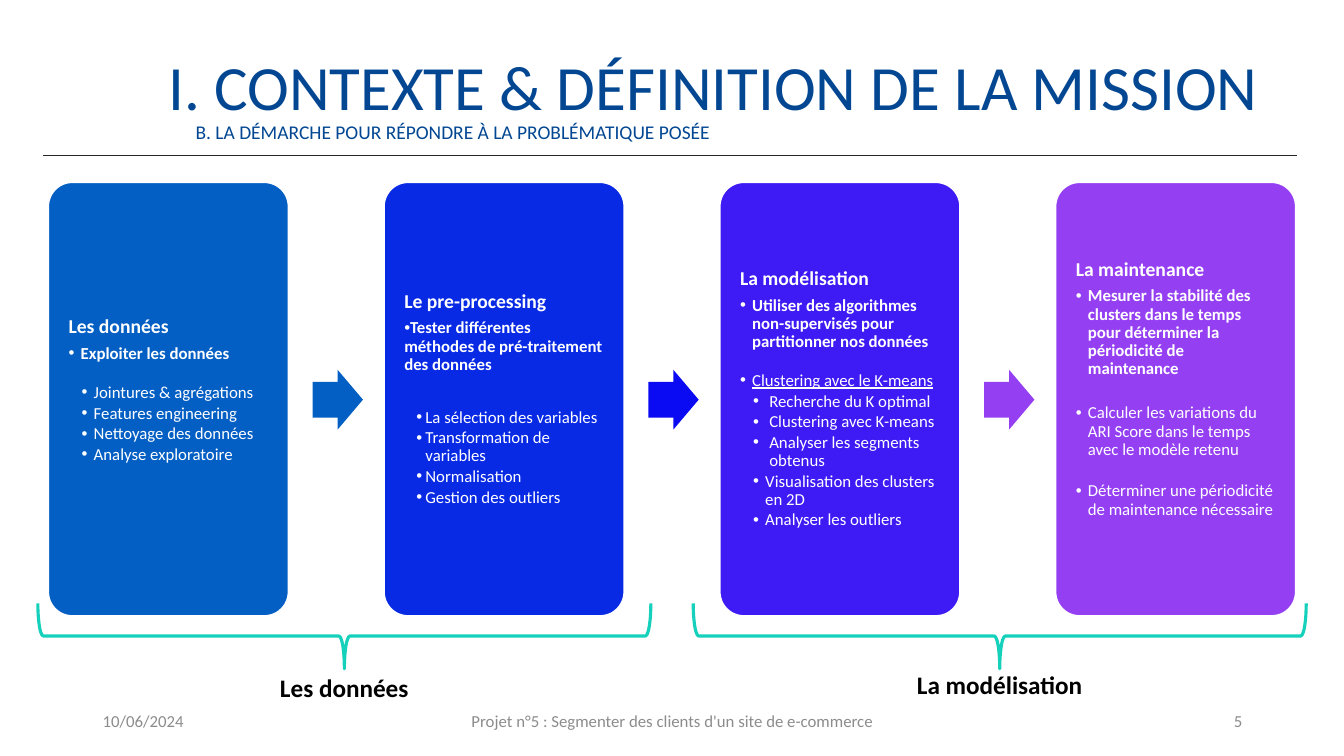
from lxml.etree import SubElement
from pptx import Presentation
from pptx.dml.color import RGBColor
from pptx.enum.shapes import MSO_CONNECTOR as Connector, MSO_SHAPE as Shape
from pptx.enum.text import MSO_ANCHOR as Anchor, PP_ALIGN as Align
from pptx.oxml.ns import qn
from pptx.util import Inches, Pt

NAVY, GREY, TEAL, WHITE = "034793", "8C8C8C", "15D1BB", "FFFFFF"
STEP_PITCH = 3.33


def heading(text):
    return dict(text=text, size=14, bold=True, after=4.9)


def bullet(text, margin=0.12, hang=0.12, **style):
    return dict(text=text, margin=margin, hang=hang, after=1.8, **style)


def detail(text, margin=0.25, hang=0.12, **style):
    return bullet(text, margin, hang, **style)


STEPS = [
    ("045FC4", "045FC4", 0.3, [
        heading("Les données"),
        bullet("Exploiter les données", bold=True),
        detail("Jointures & agrégations", before=13),
        detail("Features engineering"),
        detail("Nettoyage des données"),
        detail("Analyse exploratoire"),
    ]),
    ("082AE4", "0A0AF3", 0.13, [
        heading("Le pre-processing"),
        bullet("Tester différentes méthodes de pré-traitement des données", 0, 0, bold=True),
        detail("La sélection des variables", 0.21, 0.09, before=23),
        detail("Transformation de variables", 0.21, 0.09),
        detail("Normalisation", 0.21, 0.09),
        detail("Gestion des outliers", 0.21, 0.09),
    ]),
    ("3E1BF4", "953FF3", 0.13, [
        heading("La modélisation"),
        bullet("Utiliser des algorithmes non-supervisés pour partitionner nos données", bold=True),
        bullet("Clustering avec le K-means", underline=True, before=13),
        detail("Recherche du K optimal", 0.29, 0.16),
        detail("Clustering avec K-means", 0.29, 0.16),
        detail("Analyser les segments obtenus", 0.29, 0.16),
        detail("Visualisation des clusters en 2D"),
        detail("Analyser les outliers"),
    ]),
    ("953FF3", None, 0.33, [
        heading("La maintenance"),
        bullet("Mesurer la stabilité des clusters dans le temps pour déterminer "
               "la périodicité de maintenance", bold=True),
        bullet("Calculer les variations du ARI Score dans le temps avec le modèle retenu",
               before=17),
        bullet("Déterminer une périodicité de maintenance nécessaire", before=15),
    ]),
]


def color(hex_value):
    return RGBColor.from_string(hex_value)


def write(paragraph, text, size=12, ink=WHITE, bold=False, underline=False, align=Align.LEFT,
          spacing=None, before=0, after=0, margin=None, hang=0):
    paragraph.alignment = align
    paragraph.space_before, paragraph.space_after = Pt(before), Pt(after)
    if spacing:
        paragraph.line_spacing = spacing
    if margin is not None:
        properties = paragraph._p.get_or_add_pPr()
        properties.set("marL", str(Inches(margin)))
        properties.set("indent", str(-Inches(hang)))
        SubElement(properties, qn("a:buFont")).set("typeface", "Arial")
        SubElement(properties, qn("a:buChar")).set("char", "•")
    run = paragraph.add_run()
    run.text = text
    font = run.font
    font.name, font.size, font.bold, font.underline = "Calibri", Pt(size), bold, underline
    font.color.rgb = color(ink)


def add_label(slide, text, left, top, width, height, anchor=Anchor.MIDDLE, inset=0.1, **style):
    label = slide.shapes.add_textbox(Inches(left), Inches(top), Inches(width), Inches(height))
    frame = label.text_frame
    frame.word_wrap = True
    frame.vertical_anchor = anchor
    frame.margin_left = frame.margin_right = Inches(inset)
    write(frame.paragraphs[0], text, **style)


def add_block(slide, kind, left, top, width, height, fill=None, line=None, weight=1):
    block = slide.shapes.add_shape(kind, Inches(left), Inches(top), Inches(width), Inches(height))
    block.shadow.inherit = False
    if fill:
        block.fill.solid()
        block.fill.fore_color.rgb = color(fill)
    else:
        block.fill.background()
    if line:
        block.line.color.rgb = color(line)
        block.line.width = Pt(weight)
    else:
        block.line.fill.background()
    return block


def add_step(slide, left, fill, bottom_inset, lines):
    card = add_block(slide, Shape.ROUNDED_RECTANGLE, left, 1.81, 2.38, 4.3, fill, WHITE)
    card.adjustments[0] = 0.1
    frame = card.text_frame
    frame.word_wrap = True
    frame.vertical_anchor = Anchor.MIDDLE
    frame.margin_left = frame.margin_right = frame.margin_top = Inches(0.13)
    frame.margin_bottom = Inches(bottom_inset)
    for index, line in enumerate(lines):
        paragraph = frame.add_paragraph() if index else frame.paragraphs[0]
        write(paragraph, spacing=0.9, **line)


def add_arrow(slide, left, fill):
    arrow = add_block(slide, Shape.RIGHT_ARROW, left, 3.67, 0.5, 0.59, fill)
    arrow.adjustments[0] = 0.6


def add_phase(slide, text, center, label_top):
    brace = add_block(slide, Shape.RIGHT_BRACE, center - 0.325, 3.27, 0.65, 6.08,
                      line=TEAL, weight=2.25)
    brace.rotation = 90
    add_label(slide, text, center - 0.935, label_top, 1.87, 0.4, anchor=Anchor.TOP,
              size=18, ink="000000", bold=True, align=Align.CENTER)


def add_rule(slide, left, right, top):
    rule = slide.shapes.add_connector(Connector.STRAIGHT, Inches(left), Inches(top),
                                      Inches(right), Inches(top))
    rule.line.color.rgb = color("262626")
    rule.line.width = Pt(1)
    SubElement(rule._element.spPr, qn("a:effectLst"))


def main():
    deck = Presentation()
    deck.slide_width, deck.slide_height = Inches(13.33), Inches(7.5)
    slide = deck.slides.add_slide(deck.slide_layouts[6])

    add_rule(slide, 0.43, 12.86, 1.54)
    add_label(slide, "I. CONTEXTE & DÉFINITION DE LA MISSION", 1.67, 0.37, 11.39, 0.91,
              anchor=Anchor.BOTTOM, inset=0, size=45, ink=NAVY, spacing=0.9)
    add_label(slide, "B. LA DÉMARCHE POUR RÉPONDRE À LA PROBLÉMATIQUE POSÉE",
              1.94, 1.18, 11.39, 0.3, inset=0, size=13.9, ink=NAVY, spacing=0.8)

    add_phase(slide, "Les données", 3.415, 6.62)
    add_phase(slide, "La modélisation", 9.915, 6.59)
    for index, (fill, arrow_fill, bottom_inset, lines) in enumerate(STEPS):
        offset = index * STEP_PITCH
        add_step(slide, 0.48 + offset, fill, bottom_inset, lines)
        if arrow_fill:
            add_arrow(slide, 3.1 + offset, arrow_fill)

    for text, left, width, align in [
        ("10/06/2024", 0.92, 3, Align.LEFT),
        ("Projet n°5 : Segmenter des clients d'un site de e-commerce", 4.42, 4.5, Align.CENTER),
        ("5", 9.42, 3, Align.RIGHT),
    ]:
        add_label(slide, text, left, 6.95, width, 0.4, ink=GREY, align=align)
    deck.save("out.pptx")


if __name__ == "__main__":
    main()
